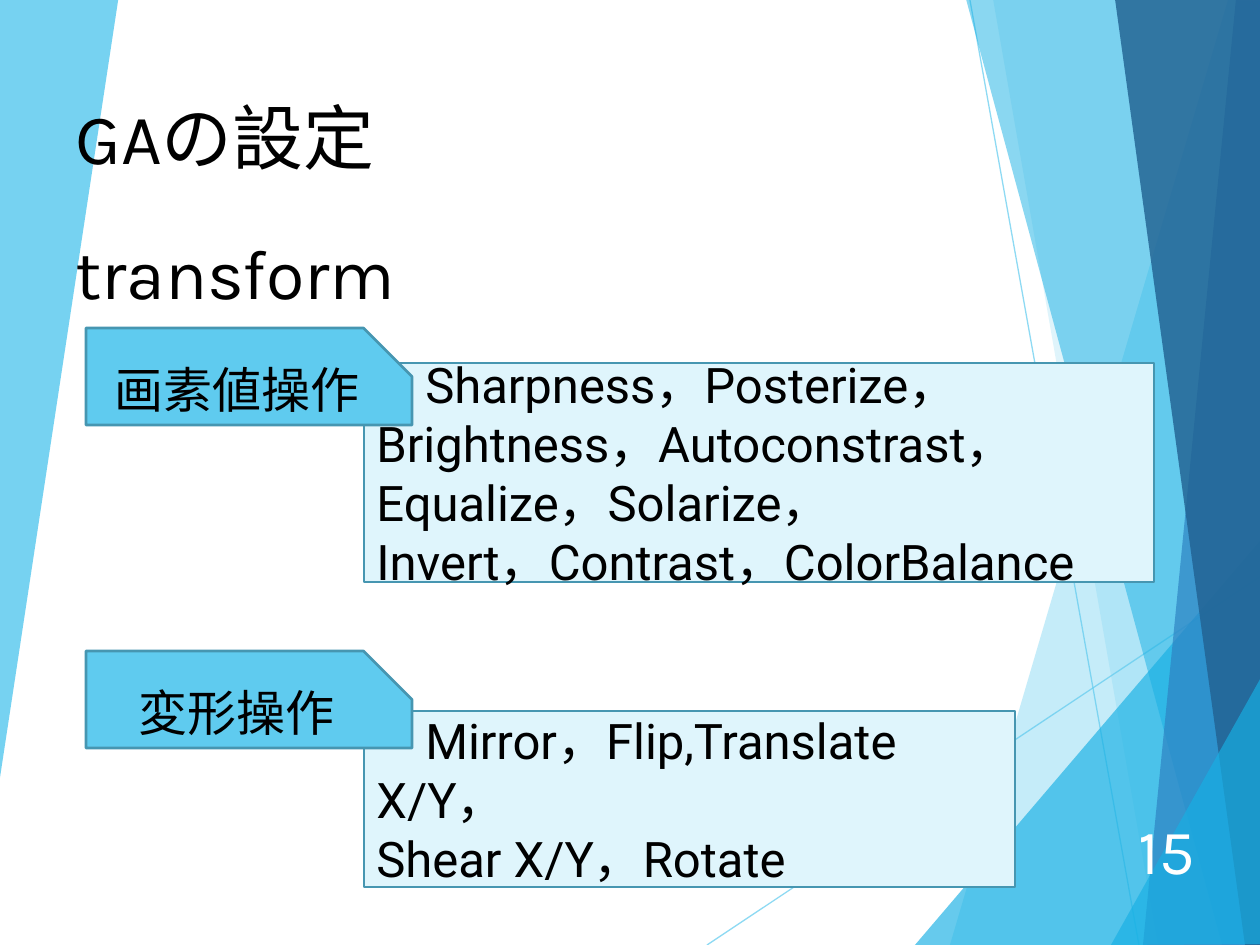
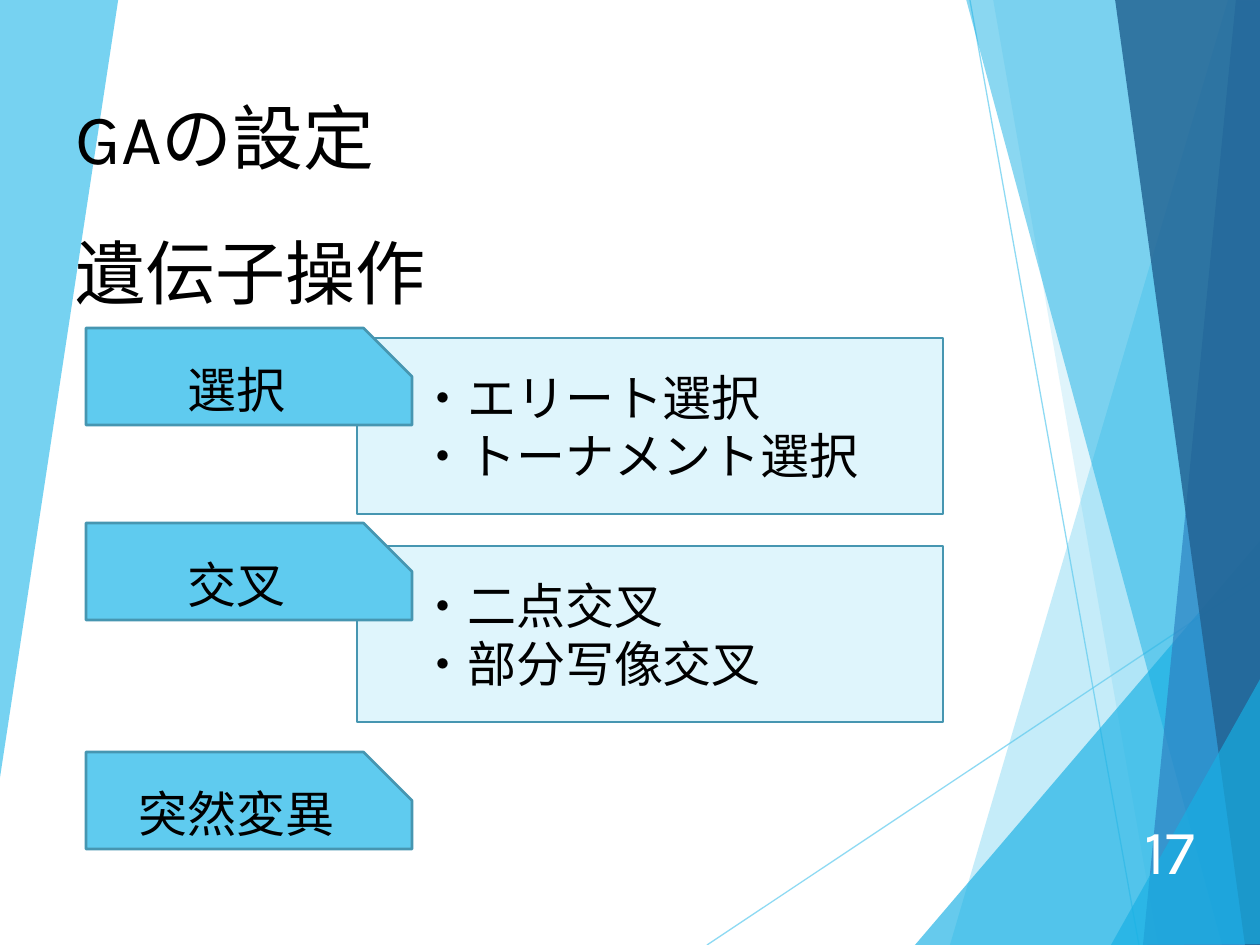
from itertools import groupby

from lxml.etree import SubElement
from pptx import Presentation
from pptx.dml.color import RGBColor
from pptx.enum.shapes import MSO_CONNECTOR as Connector, MSO_SHAPE as Shape
from pptx.enum.text import MSO_ANCHOR as Anchor, MSO_AUTO_SIZE as AutoSize, PP_ALIGN as Align
from pptx.oxml.ns import qn
from pptx.util import Emu, Pt

SCALE = 914400 / 126  # EMU in one px
WIDTH, HEIGHT = 1260, 945

# Shared colours and fonts
SKY, AZURE, BLUE, NAVY = "5FCBEF", "17B0E4", "2E83C3", "226292"
PALE, EDGE, BLACK, WHITE = "DFF5FC", "4696B1", "000000", "FFFFFF"
HEAD_FONT, BODY_FONT, CJK_FONT = "Karla", "Roboto", "Noto Sans CJK JP"
COMMA = "，"

# Background: thin lines, then translucent facets (colour, opacity %, corners)
RAYS = [(707, 945, 1261, 576), (970, 0, 1139, 945)]
FACETS = [
    (SKY, 36, [(1228, 0), (950, 945), (1262, 946), (1261, 1)]),
    (SKY, 20, [(993, -1), (1158, 945), (1261, 945), (1261, -1)]),
    (AZURE, 66, [(915, 945), (1260, 541), (1261, 945)]),
    (AZURE, 50, [(966, -1), (1222, 945), (1261, 944), (1261, -1)]),
    (BLUE, 70, [(1236, -1), (1143, 945), (1261, 945), (1260, -1)]),
    (NAVY, 82, [(1115, -1), (1245, 945), (1262, 945), (1260, -1)]),
    (AZURE, 66, [(1111, 945), (1263, 674), (1263, 944)]),
    (SKY, 85, [(-1, 0), (118, -1), (118, 1), (-1, 784)]),
]


def px(*lengths):
    return [Emu(round(length * SCALE)) for length in lengths]


def colour(hex_string):
    return RGBColor.from_string(hex_string)


def set_opacity(shape, percent):
    for tint in shape._element.spPr.iter(qn("a:srgbClr")):
        SubElement(tint, qn("a:alpha")).set("val", str(percent * 1000))


class SlideMaker:
    def __init__(self):
        self.deck = Presentation()
        self.deck.slide_width, self.deck.slide_height = px(WIDTH, HEIGHT)
        self.page = None

    def new_page(self):
        self.page = self.deck.slides.add_slide(self.deck.slide_layouts[6])
        self.backdrop()

    def backdrop(self):
        group = self.page.shapes.add_group_shape()
        for ends in RAYS:
            ray = group.shapes.add_connector(Connector.STRAIGHT, *px(*ends))
            ray.line.color.rgb = colour(SKY)
            ray.line.width = Pt(0.75)
            set_opacity(ray, 70)
            SubElement(ray._element.spPr, qn("a:effectLst"))
        for tint, opacity, corners in FACETS:
            builder = group.shapes.build_freeform(*corners[0], scale=SCALE)
            builder.add_line_segments(corners[1:], close=True)
            facet = builder.convert_to_shape()
            facet.shadow.inherit = False
            facet.fill.solid()
            facet.fill.fore_color.rgb = colour(tint)
            facet.line.fill.background()
            set_opacity(facet, opacity)

    def add_text(self, para, text, font, size, tint=BLACK):
        """Add the text run by run, with full-width commas in the CJK font."""
        for is_comma, letters in groupby(text, lambda letter: letter == COMMA):
            span = para.add_run()
            span.text = "".join(letters)
            span.font.size = Pt(size)
            span.font.color.rgb = colour(tint)
            span.font.name = CJK_FONT if is_comma else font
            SubElement(span._r.get_or_add_rPr(), qn("a:ea")).set("typeface", span.font.name)

    def label(self, place, text, size, tint=BLACK):
        box = self.page.shapes.add_textbox(*px(*place))
        box.text_frame.word_wrap = True
        self.add_text(box.text_frame.paragraphs[0], text, HEAD_FONT, size, tint)
        return box.text_frame

    def heading(self, place, text, size):
        self.label(place, text, size).auto_size = AutoSize.SHAPE_TO_FIT_TEXT

    def page_number(self, number):
        frame = self.label((1101, 816, 106, 67), number, 36, WHITE)
        frame.vertical_anchor = Anchor.MIDDLE
        frame.paragraphs[0].alignment = Align.RIGHT

    def block(self, kind, place, fill, lines, font, align):
        box = self.page.shapes.add_shape(kind, *px(*place))
        box.shadow.inherit = False
        box.fill.solid()
        box.fill.fore_color.rgb = colour(fill)
        box.line.color.rgb = colour(EDGE)
        box.line.width = Pt(1.5)
        frame = box.text_frame
        frame.word_wrap = True
        frame.vertical_anchor = Anchor.MIDDLE
        for index, text in enumerate(lines):
            para = frame.add_paragraph() if index else frame.paragraphs[0]
            para.alignment = align
            self.add_text(para, text, font, 28)
        return box

    def panel(self, place, lines):
        self.block(Shape.RECTANGLE, place, PALE, lines, BODY_FONT, Align.LEFT)

    def tag(self, top, text):
        box = self.block(Shape.SNIP_1_RECTANGLE, (86, top, 326, 97), SKY,
                         [text], HEAD_FONT, Align.CENTER)
        box.adjustments[0] = 0.5

    def settings_page(self, number, subtitle, panels, tags):
        self.new_page()
        for place, lines in panels:
            self.panel(place, lines)
        self.page_number(number)
        self.heading((63, 87, 480, 98), "GAの設定", 40.5)
        self.heading((63, 223, 971, 97), subtitle, 40)
        for top, text in tags:
            self.tag(top, text)


def main():
    maker = SlideMaker()

    # Transform operations
    maker.settings_page(
        "15", "transform",
        panels=[
            ((364, 711, 651, 176),
             ["　Mirror，Flip,Translate X/Y，", "Shear X/Y，Rotate"]),
            ((364, 363, 790, 219),
             ["　Sharpness，Posterize，Brightness，Autoconstrast，Equalize，Solarize，",
              "Invert，Contrast，ColorBalance"]),
        ],
        tags=[(328, "画素値操作"), (651, "変形操作")],
    )

    # Genetic operators
    maker.settings_page(
        "17", "遺伝子操作",
        panels=[
            ((357, 546, 586, 176), ["　・二点交叉", "　・部分写像交叉"]),
            ((357, 338, 586, 176), ["　・エリート選択", "　・トーナメント選択"]),
        ],
        tags=[(328, "選択"), (523, "交叉"), (752, "突然変異")],
    )

    maker.deck.save("out.pptx")


if __name__ == "__main__":
    main()
